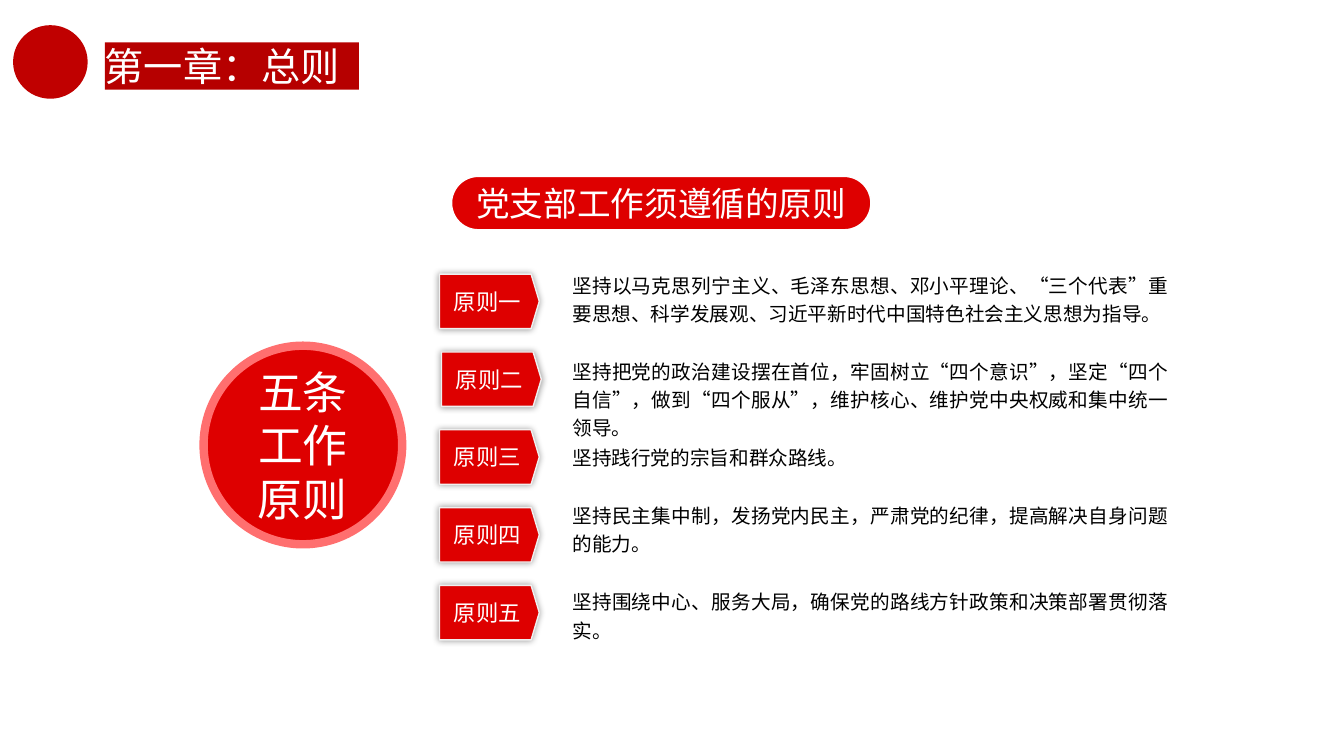
from dataclasses import dataclass
from typing import Optional

from lxml.etree import SubElement
from pptx import Presentation
from pptx.dml.color import RGBColor
from pptx.enum.shapes import MSO_SHAPE
from pptx.enum.text import MSO_ANCHOR, MSO_AUTO_SIZE, PP_ALIGN
from pptx.oxml import parse_xml
from pptx.oxml.ns import nsdecls, qn
from pptx.shapes.autoshape import Shape
from pptx.slide import Slide
from pptx.util import Inches, Length, Pt

CELL = 0.1
COLUMNS, ROWS = 133.33, 75
CJK_FONT = "Noto Sans CJK SC"
COLORS = {
    "emblem": "C00000",
    "banner": "B60000",
    "red": "DE0000",
    "ring": "FF6F6F",
    "edge": "F0F0F0",
    "white": "FFFFFF",
    "black": "000000",
}


@dataclass(frozen=True)
class Area:
    column: float
    row: float
    columns: float
    rows: float


@dataclass(frozen=True)
class Panel:
    area: Area
    preset: MSO_SHAPE
    fill: str
    text: str = ""
    size: int = 16
    line: Optional[str] = None
    line_width: float = 1
    adjustment: Optional[float] = None
    inset: float = 0
    align: PP_ALIGN = PP_ALIGN.CENTER
    anchor: MSO_ANCHOR = MSO_ANCHOR.MIDDLE
    glow: bool = False


@dataclass(frozen=True)
class Principle:
    number: str
    text: str
    text_row: float
    text_rows: float
    shift: float = 0


PRINCIPLES = [
    Principle("一", "坚持以马克思列宁主义、毛泽东思想、邓小平理论、“三个代表”重要思想、"
              "科学发展观、习近平新时代中国特色社会主义思想为指导。", 26.2, 6.4),
    Principle("二", "坚持把党的政治建设摆在首位，牢固树立“四个意识”，坚定“四个自信”，"
              "做到“四个服从”，维护核心、维护党中央权威和集中统一领导。", 34.7, 6.5, 0.2),
    Principle("三", "坚持践行党的宗旨和群众路线。", 43.3, 3.7),
    Principle("四", "坚持民主集中制，发扬党内民主，严肃党的纪律，提高解决自身问题的能力。", 49, 6.4),
    Principle("五", "坚持围绕中心、服务大局，确保党的路线方针政策和决策部署贯彻落实。", 57.6, 6.4),
]
TAG_COLUMN, TAG_ROW, TAG_STEP = 43.6, 27.2, 7.72
TEXT_COLUMN, TEXT_COLUMNS = 55.8, 61.1

PANELS = [
    Panel(Area(1.3, 2.5, 7.4, 7.3), MSO_SHAPE.OVAL, "emblem"),
    Panel(Area(10.4, 4.2, 25.2, 4.7), MSO_SHAPE.RECTANGLE, "banner", "第一章：总则", 28,
          align=PP_ALIGN.LEFT, anchor=MSO_ANCHOR.TOP),
    Panel(Area(44.8, 17.5, 41.6, 5.3), MSO_SHAPE.ROUNDED_RECTANGLE, "red",
          "党支部工作须遵循的原则", 24, "white", adjustment=0.5),
    Panel(Area(20.2, 34.3, 19.7, 19.7), MSO_SHAPE.ROUNDED_RECTANGLE, "red",
          "五条工作原则", 32, "ring", 6, 0.5, inset=1),
]


def cells(count: float) -> Length:
    return Inches(count * CELL)


def place(area: Area) -> tuple[Length, ...]:
    return tuple(cells(n) for n in (area.column, area.row, area.columns, area.rows))


def color(name: str) -> RGBColor:
    return RGBColor.from_string(COLORS[name])


def write(shape: Shape, text: str, size: int, ink: str, font_name: str, align: PP_ALIGN) -> None:
    para = shape.text_frame.paragraphs[0]
    para.add_run().text = text
    para.alignment = align
    font = para.font
    font.size = Pt(size)
    font.name = font_name
    font.color.rgb = color(ink)
    defaults = para._p.pPr.find(qn("a:defRPr"))
    SubElement(defaults, qn("a:ea")).set("typeface", CJK_FONT)


def add_glow(shape: Shape) -> None:
    effects = shape._element.spPr.find(qn("a:effectLst"))
    effects.append(parse_xml(
        f'<a:outerShdw {nsdecls("a")} blurRad="{Pt(5)}" dist="0" dir="0" algn="ctr" rotWithShape="0">'
        f'<a:srgbClr val="{COLORS["black"]}"><a:alpha val="40000"/></a:srgbClr></a:outerShdw>'))


def draw_panel(page: Slide, panel: Panel) -> None:
    shape = page.shapes.add_shape(panel.preset, *place(panel.area))
    shape.shadow.inherit = False
    shape.fill.solid()
    shape.fill.fore_color.rgb = color(panel.fill)
    if panel.line:
        shape.line.color.rgb = color(panel.line)
        shape.line.width = Pt(panel.line_width)
    else:
        shape.line.fill.background()
    if panel.adjustment is not None:
        shape.adjustments[0] = panel.adjustment
    if panel.glow:
        add_glow(shape)
    if panel.text:
        frame = shape.text_frame
        frame.word_wrap = True
        frame.vertical_anchor = panel.anchor
        frame.margin_left = frame.margin_right = cells(panel.inset)
        frame.margin_top = frame.margin_bottom = cells(panel.inset / 2)
        write(shape, panel.text, panel.size, "white", CJK_FONT, panel.align)


def draw_principle(page: Slide, index: int, principle: Principle) -> None:
    area = Area(TEXT_COLUMN, principle.text_row, TEXT_COLUMNS, principle.text_rows)
    box = page.shapes.add_textbox(*place(area))
    box.text_frame.word_wrap = True
    box.text_frame.auto_size = MSO_AUTO_SIZE.SHAPE_TO_FIT_TEXT
    write(box, principle.text, 14, "black", "Arial", PP_ALIGN.JUSTIFY)
    para = box.text_frame.paragraphs[0]
    para.line_spacing = 1.2
    para.space_after = Pt(10)
    tag = Area(TAG_COLUMN + principle.shift, TAG_ROW + index * TAG_STEP, 9.9, 5.4)
    draw_panel(page, Panel(tag, MSO_SHAPE.PENTAGON, "red", f"原则{principle.number}",
                           line="edge", adjustment=0.15, glow=True))


def main() -> None:
    deck = Presentation()
    deck.slide_width, deck.slide_height = cells(COLUMNS), cells(ROWS)
    page = deck.slides.add_slide(deck.slide_layouts[6])
    for panel in PANELS:
        draw_panel(page, panel)
    for index, principle in enumerate(PRINCIPLES):
        draw_principle(page, index, principle)
    deck.save("out.pptx")


if __name__ == "__main__":
    main()
